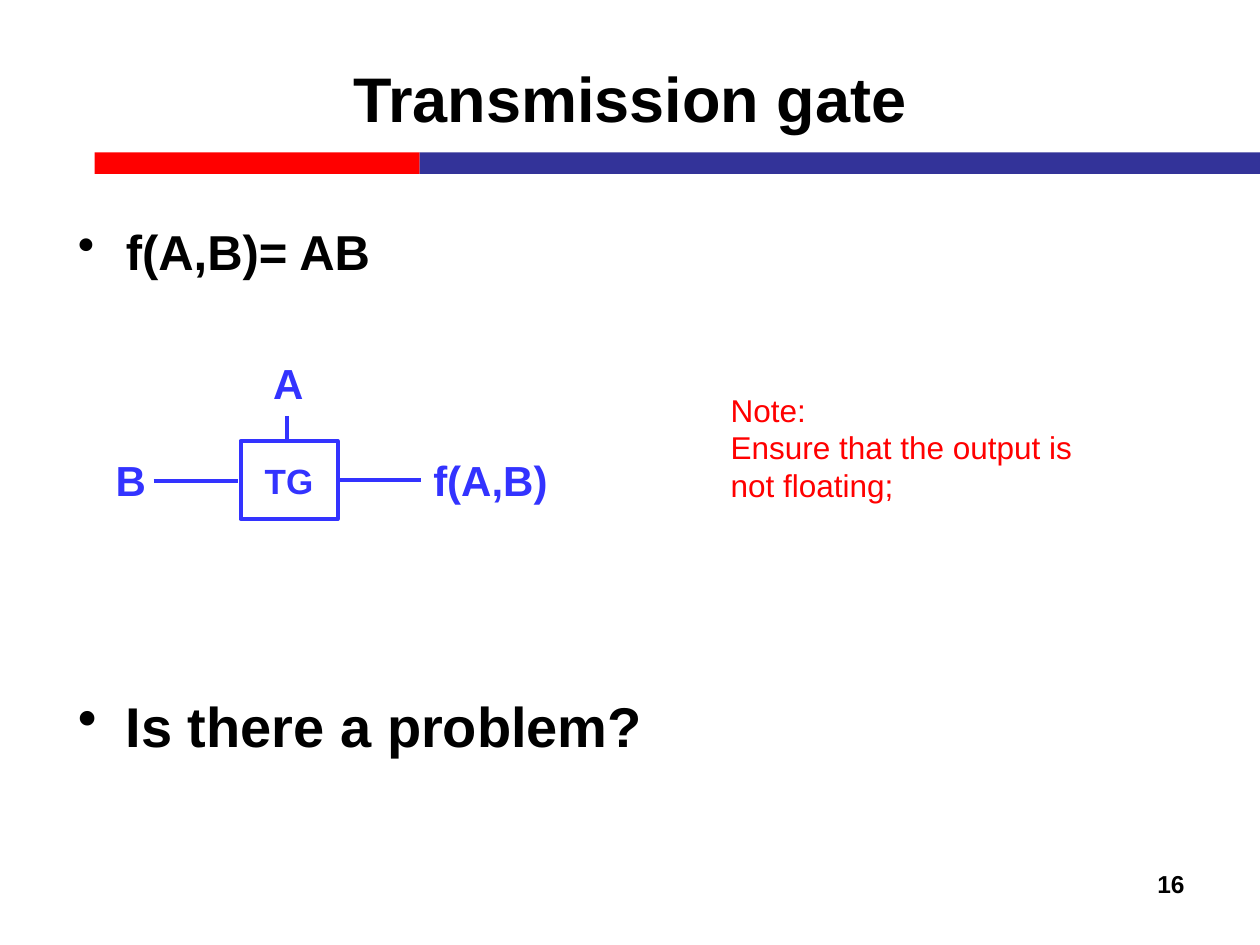
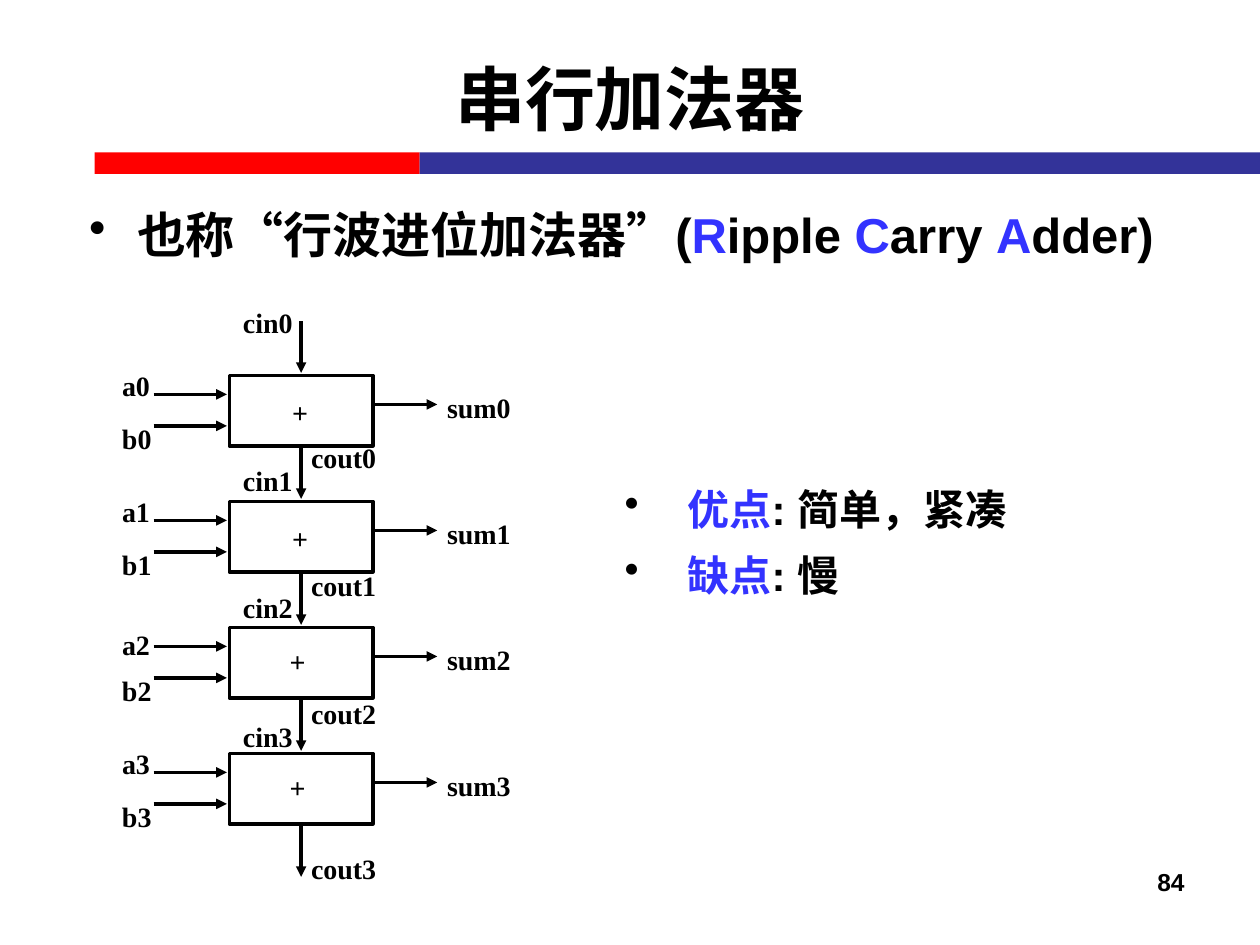
from dataclasses import dataclass

from lxml.etree import SubElement
from pptx import Presentation
from pptx.dml.color import RGBColor
from pptx.enum.shapes import MSO_CONNECTOR, MSO_SHAPE
from pptx.enum.text import MSO_ANCHOR, MSO_AUTO_SIZE, PP_ALIGN
from pptx.oxml.ns import qn
from pptx.util import Pt


@dataclass(frozen=True)
class Theme:
    black: RGBColor = RGBColor(0, 0, 0)
    red: RGBColor = RGBColor(255, 0, 0)
    navy: RGBColor = RGBColor(0x33, 0x33, 0x99)
    blue: RGBColor = RGBColor(0x33, 0x33, 0xFF)
    sans: str = "Arial"
    serif: str = "Times New Roman"
    title: int = 36
    chinese_title: int = 40
    question: int = 32
    body: int = 28
    signal: int = 24
    gate: int = 20
    note: int = 18
    label: int = 16
    number: int = 14
    gate_line: float = 2.25
    adder_line: int = 2


PX = 9144
theme = Theme()


def write(shape, paragraphs, size, color=theme.black, name=theme.sans, bold=True,
          align=PP_ALIGN.LEFT, hanging=0, gap=0, spacing=None, **frame_format):
    frame = shape.text_frame
    for key, value in {"word_wrap": True, **frame_format}.items():
        setattr(frame, key, value)
    for index, runs in enumerate(paragraphs):
        paragraph = frame.paragraphs[0] if index == 0 else frame.add_paragraph()
        if hanging:
            properties = paragraph._p.get_or_add_pPr()
            properties.set("marL", str(hanging * PX))
            properties.set("indent", str(-hanging * PX))
            bullet_color = SubElement(properties, qn("a:buClr"))
            SubElement(bullet_color, qn("a:srgbClr")).set("val", str(theme.black))
            SubElement(properties, qn("a:buChar")).set("char", "•")
        paragraph.alignment = align
        if spacing:
            paragraph.line_spacing = spacing
        if index and gap:
            paragraph.space_before = Pt(gap)
        for text, *changes in runs:
            run = paragraph.add_run()
            run.text = text
            font_format = {"name": name, "size": Pt(size), "bold": bold}
            run.font.color.rgb = color
            for change in changes:
                if isinstance(change, RGBColor):
                    run.font.color.rgb = change
                else:
                    font_format["size"] = Pt(change)
            for key, value in font_format.items():
                setattr(run.font, key, value)


def connect(slide, ends, color, width, arrow=False):
    connector = slide.shapes.add_connector(MSO_CONNECTOR.STRAIGHT, *(end * PX for end in ends))
    connector.line.color.rgb = color
    connector.line.width = Pt(width)
    if arrow:
        SubElement(connector.line._get_or_add_ln(), qn("a:tailEnd")).set("type", "triangle")
    SubElement(connector._element.spPr, qn("a:effectLst"))


presentation = Presentation()
presentation.slide_width = 1000 * PX
presentation.slide_height = 750 * PX

slides = []
for title, title_size, number, number_top in (
    ("Transmission gate", theme.title, "16", 685),
    ("串行加法器", theme.chinese_title, "84", 683),
):
    slide = presentation.slides.add_slide(presentation.slide_layouts[6])
    slides.append(slide)
    for left, width, color in ((75, 258, theme.red), (333, 667, theme.navy)):
        band = slide.shapes.add_shape(MSO_SHAPE.RECTANGLE, left * PX, 121 * PX, width * PX, 17 * PX)
        band.shadow.inherit = False
        band.fill.solid()
        band.fill.fore_color.rgb = color
        band.line.fill.background()
    title_box = slide.shapes.add_textbox(50 * PX, 15 * PX, 900 * PX, 125 * PX)
    write(title_box, [[(title,)]], title_size, align=PP_ALIGN.CENTER,
          vertical_anchor=MSO_ANCHOR.MIDDLE)
    number_box = slide.shapes.add_textbox(717 * PX, number_top * PX, 233 * PX, 50 * PX)
    write(number_box, [[(number,)]], theme.number, align=PP_ALIGN.RIGHT)

gate_slide, adder_slide = slides
label_frame = {"word_wrap": False, "auto_size": MSO_AUTO_SIZE.SHAPE_TO_FIT_TEXT}

body_box = gate_slide.shapes.add_textbox(52 * PX, 171 * PX, 519 * PX, 512 * PX)
write(body_box, [[("f(A,B)= AB",)], [("Is there a problem?", theme.question)]],
      theme.body, hanging=38, gap=235)

for wire in ((122, 382, 189, 382), (268, 381, 334, 381), (228, 330, 228, 350)):
    connect(gate_slide, wire, theme.blue, theme.gate_line)
gate = gate_slide.shapes.add_shape(MSO_SHAPE.RECTANGLE, 191 * PX, 350 * PX, 77 * PX, 62 * PX)
gate.shadow.inherit = False
gate.fill.background()
gate.line.color.rgb = theme.blue
gate.line.width = Pt(theme.gate_line)
write(gate, [[("TG",)]], theme.gate, theme.blue, align=PP_ALIGN.CENTER,
      vertical_anchor=MSO_ANCHOR.MIDDLE)
for text, left, top, width in (("A", 207, 279, 45), ("B", 82, 356, 45), ("f(A,B)", 334, 356, 112)):
    signal_box = gate_slide.shapes.add_textbox(left * PX, top * PX, width * PX, 50 * PX)
    write(signal_box, [[(text,)]], theme.signal, theme.blue, **label_frame)

note_box = gate_slide.shapes.add_textbox(570 * PX, 305 * PX, 308 * PX, 101 * PX)
write(note_box, [[("Note:",)], [("Ensure that the output is not floating;",)]],
      theme.note, theme.red, bold=False)

heading_box = adder_slide.shapes.add_textbox(61 * PX, 157 * PX, 900 * PX, 568 * PX)
write(heading_box, [[("也称“行波进位加法器”(",), ("R", theme.blue), ("ipple ",),
                     ("C", theme.blue), ("arry ",), ("A", theme.blue), ("dder)",)]],
      theme.body, hanging=38)

stage_tops = range(298, 698, 100)
a_tops = (288, 388, 493, 588)
cin_tops = (238, 363, 464, 566)
cout_tops = (345, 446, 548, 671)
plus_places = ((222, 309), (222, 409), (220, 507), (220, 607))
for stage, (top, a_top, cin_top, cout_top, plus_place) in enumerate(
    zip(stage_tops, a_tops, cin_tops, cout_tops, plus_places)
):
    adder = adder_slide.shapes.add_shape(MSO_SHAPE.RECTANGLE, 182 * PX, top * PX, 114 * PX, 56 * PX)
    adder.shadow.inherit = False
    adder.fill.background()
    adder.line.color.rgb = theme.black
    adder.line.width = Pt(theme.adder_line)
    for arrow in (
        (239, top - 43, 239, top - 2),
        (122, top + 15, 180, top + 15),
        (122, top + 40, 180, top + 40),
        (297, top + 23, 347, top + 23),
    ):
        connect(adder_slide, arrow, theme.black, theme.adder_line, arrow=True)
    for text, left, label_top, width in (
        (f"a{stage}", 87, a_top, 42),
        (f"b{stage}", 87, top + 32, 44),
        (f"cin{stage}", 183, cin_top, 60),
        (f"cout{stage}", 237, cout_top, 72),
        (f"sum{stage}", 345, top + 7, 71),
        ("+", *plus_place, 33),
    ):
        label_box = adder_slide.shapes.add_textbox(left * PX, label_top * PX, width * PX, 37 * PX)
        write(label_box, [[(text,)]], theme.label, name=theme.serif, **label_frame)
connect(adder_slide, (239, 655, 239, 696), theme.black, theme.adder_line, arrow=True)

verdict_box = adder_slide.shapes.add_textbox(486 * PX, 375 * PX, 530 * PX, 109 * PX)
write(verdict_box, [[("优点", theme.blue), (": 简单，紧凑",)], [("缺点", theme.blue), (": 慢",)]],
      theme.signal, hanging=50, gap=6, spacing=1.1)

presentation.save("out.pptx")
